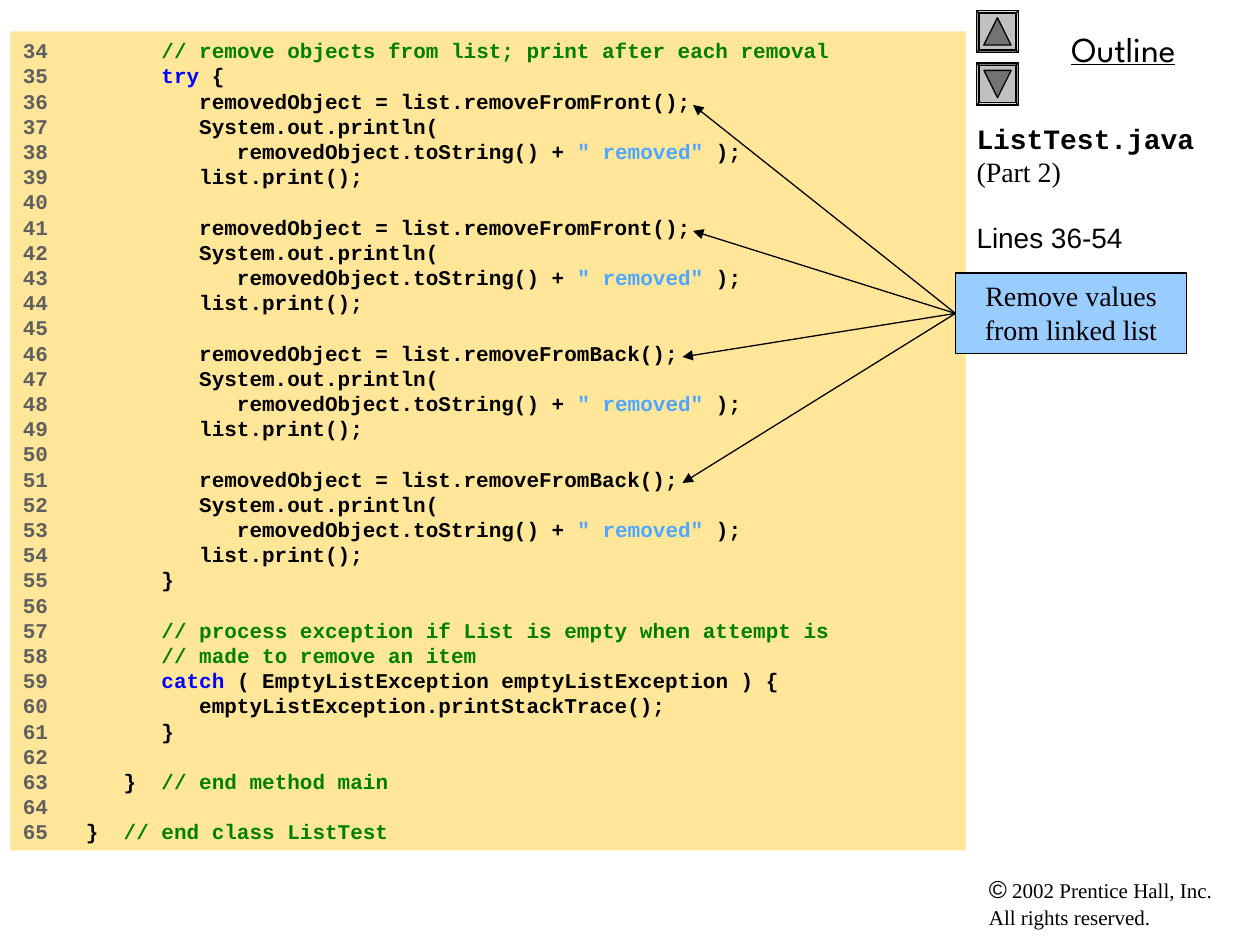
import dataclasses

import pptx
import pptx.dml.color
import pptx.enum.shapes
import pptx.enum.text
import pptx.oxml
import pptx.oxml.ns
import pptx.util

SHAPE = pptx.enum.shapes.MSO_SHAPE
ALIGN = pptx.enum.text.PP_ALIGN
CELL = 1 / 12  # inches; the page is a grid of 120 columns by 90 rows
FIRST_LINE = 34
KEYWORDS = ("try", "catch")

OPENING = '''\
      // remove objects from list; print after each removal
      try {'''

REMOVAL = '''\
         removedObject = list.removeFrom{end}();
         System.out.println(
            removedObject.toString() + " removed" );
         list.print();'''

CLOSING = '''\
      }

      // process exception if List is empty when attempt is
      // made to remove an item
      catch ( EmptyListException emptyListException ) {
         emptyListException.printStackTrace();
      }

   }  // end method main

}  // end class ListTest'''


@dataclasses.dataclass(frozen=True)
class Theme:
    ink: str = "000000"
    panel: str = "FFE699"
    callout: str = "99CCFF"
    button: str = "C0C0C0"
    arrow: str = "737373"
    number: str = "5F5F5F"
    comment: str = "008000"
    keyword: str = "0000FF"
    string: str = "4DA6FF"
    mono: str = "Courier New"
    serif: str = "Times New Roman"
    sans: str = "Arial"
    display: str = "League Spartan"
    small: float = 12
    symbol: float = 14
    body: float = 16
    heading: float = 20
    code_pitch: float = 14.4
    body_pitch: float = 19
    small_pitch: float = 15
    hairline: float = 0.75


THEME = Theme()


@dataclasses.dataclass(frozen=True)
class Box:
    """A region in grid cells."""
    left: float
    top: float
    width: float
    height: float

    def inside(self, left, top, width, height):
        return Box(self.left + left, self.top + top, width, height)

    def lengths(self):
        return [cells(n) for n in (self.left, self.top, self.width, self.height)]


def cells(count):
    return pptx.util.Inches(count * CELL)


def rgb(colour):
    return pptx.dml.color.RGBColor.from_string(colour)


def add_span(para, text, font=THEME.serif, size=THEME.body, colour=THEME.ink,
             bold=False, underline=False):
    span = para.add_run()
    span.text = text
    span.font.name = font
    span.font.size = pptx.util.Pt(size)
    span.font.color.rgb = rgb(colour)
    span.font.bold = bold
    span.font.underline = underline


def add_para(frame, first=False, align=ALIGN.LEFT, pitch=None, before=0):
    para = frame.paragraphs[0] if first else frame.add_paragraph()
    para.alignment = align
    para.space_before = pptx.util.Pt(before)
    if pitch:
        para.line_spacing = pptx.util.Pt(pitch)
    return para


def prepare_frame(shape, left_inset=0.1):
    frame = shape.text_frame
    frame.word_wrap = True
    frame.vertical_anchor = pptx.enum.text.MSO_ANCHOR.TOP
    frame.margin_left = pptx.util.Inches(left_inset)
    return frame


def add_text_box(page, box, **options):
    return prepare_frame(page.shapes.add_textbox(*box.lengths()), **options)


def add_filled_shape(page, kind, box, fill, outlined=True):
    shape = page.shapes.add_shape(kind, *box.lengths())
    shape.shadow.inherit = False
    shape.fill.solid()
    shape.fill.fore_color.rgb = rgb(fill)
    if outlined:
        shape.line.color.rgb = rgb(THEME.ink)
        shape.line.width = pptx.util.Pt(THEME.hairline)
    else:
        shape.line.fill.background()
    return shape


def code_lines():
    removals = [REMOVAL.format(end=end) for end in ("Front", "Front", "Back", "Back")]
    return "\n".join([OPENING, "\n\n".join(removals), CLOSING]).split("\n")


def split_code(line):
    """Yield (text, colour) for each part of a line of Java."""
    code, slashes, comment = line.partition("//")
    word = code.split()[0] if code.strip() else ""
    if word in KEYWORDS:
        indent, _, code = code.partition(word)
        yield indent, THEME.ink
        yield word, THEME.keyword
    for index, piece in enumerate(code.split('"')):
        if index % 2:
            yield f'"{piece}"', THEME.string
        else:
            yield piece, THEME.ink
    yield slashes + comment, THEME.comment


def draw_code(page, box):
    panel = add_filled_shape(page, SHAPE.RECTANGLE, box, THEME.panel, outlined=False)
    frame = prepare_frame(panel)
    for index, line in enumerate(code_lines()):
        para = add_para(frame, first=index == 0, pitch=THEME.code_pitch)
        number = str(FIRST_LINE + index) + ("   " if line else "")
        for text, colour in [(number, THEME.number), *split_code(line)]:
            if text:
                add_span(para, text, font=THEME.mono, size=THEME.small,
                         colour=colour, bold=True)


def draw_button(page, box, turn, flip):
    """Bevelled button; turn is its rotation, flip that of its triangle."""
    frame = add_filled_shape(page, SHAPE.BEVEL, box, THEME.button)
    frame.adjustments[0] = 0.06
    frame.rotation = turn
    triangle = add_filled_shape(page, SHAPE.ISOSCELES_TRIANGLE,
                                box.inside(0.7, 0.7, 2.6, 2.6), THEME.arrow)
    triangle.rotation = flip


def draw_outline_header(page, box):
    draw_button(page, box.inside(0, 0, 4, 4), turn=90, flip=0)
    draw_button(page, box.inside(0, 5, 4, 4), turn=270, flip=180)
    frame = add_text_box(page, box.inside(1, 1, 26, 5.3))
    para = add_para(frame, first=True, align=ALIGN.CENTER)
    add_span(para, "Outline", font=THEME.display, size=THEME.heading, underline=True)


def draw_title(page, box):
    frame = add_text_box(page, box, left_inset=0)
    para = add_para(frame, first=True, pitch=THEME.body_pitch)
    add_span(para, "ListTest.java", font=THEME.mono, bold=True)
    add_span(para, " (Part 2)")
    para = add_para(frame, pitch=THEME.body_pitch, before=THEME.body_pitch)
    add_span(para, "Lines 36-54", font=THEME.sans)


def draw_callout(page, box, targets):
    label = add_filled_shape(page, SHAPE.RECTANGLE, box, THEME.callout)
    para = add_para(prepare_frame(label), first=True, align=ALIGN.CENTER,
                    pitch=THEME.body_pitch)
    add_span(para, "Remove values from linked list")
    namespace = pptx.oxml.ns.nsdecls("a")
    for column, row in targets:
        arrow = page.shapes.add_connector(
            pptx.enum.shapes.MSO_CONNECTOR.STRAIGHT,
            cells(box.left), cells(box.top), cells(column), cells(row))
        arrow.begin_connect(label, 1)
        arrow.line.color.rgb = rgb(THEME.ink)
        arrow.line.width = pptx.util.Pt(THEME.hairline)
        properties = arrow._element.spPr
        properties.find(pptx.oxml.ns.qn("a:ln")).append(
            pptx.oxml.parse_xml(f'<a:tailEnd {namespace} type="triangle"/>'))
        properties.append(pptx.oxml.parse_xml(f"<a:effectLst {namespace}/>"))


def draw_footer(page, box):
    para = add_para(add_text_box(page, box), first=True, pitch=THEME.small_pitch)
    add_span(para, "©", font=THEME.sans, size=THEME.symbol)
    add_span(para, " 2002 Prentice Hall, Inc.", size=THEME.small)
    para.add_line_break()
    add_span(para, "All rights reserved.", size=THEME.small)


def main():
    deck = pptx.Presentation()
    deck.slide_width, deck.slide_height = cells(120), cells(90)
    page = deck.slides.add_slide(deck.slide_layouts[6])
    draw_footer(page, Box(93, 83, 26, 6.5))
    draw_outline_header(page, Box(93, 1, 27, 9))
    draw_title(page, Box(93, 11, 27, 72))
    draw_code(page, Box(1, 3, 91, 78))
    call_ends = [(column, 10 + 12 * index)
                 for index, column in enumerate((66, 66, 65, 65))]
    draw_callout(page, Box(91, 26, 22, 7.7), call_ends)
    deck.save("out.pptx")


if __name__ == "__main__":
    main()
